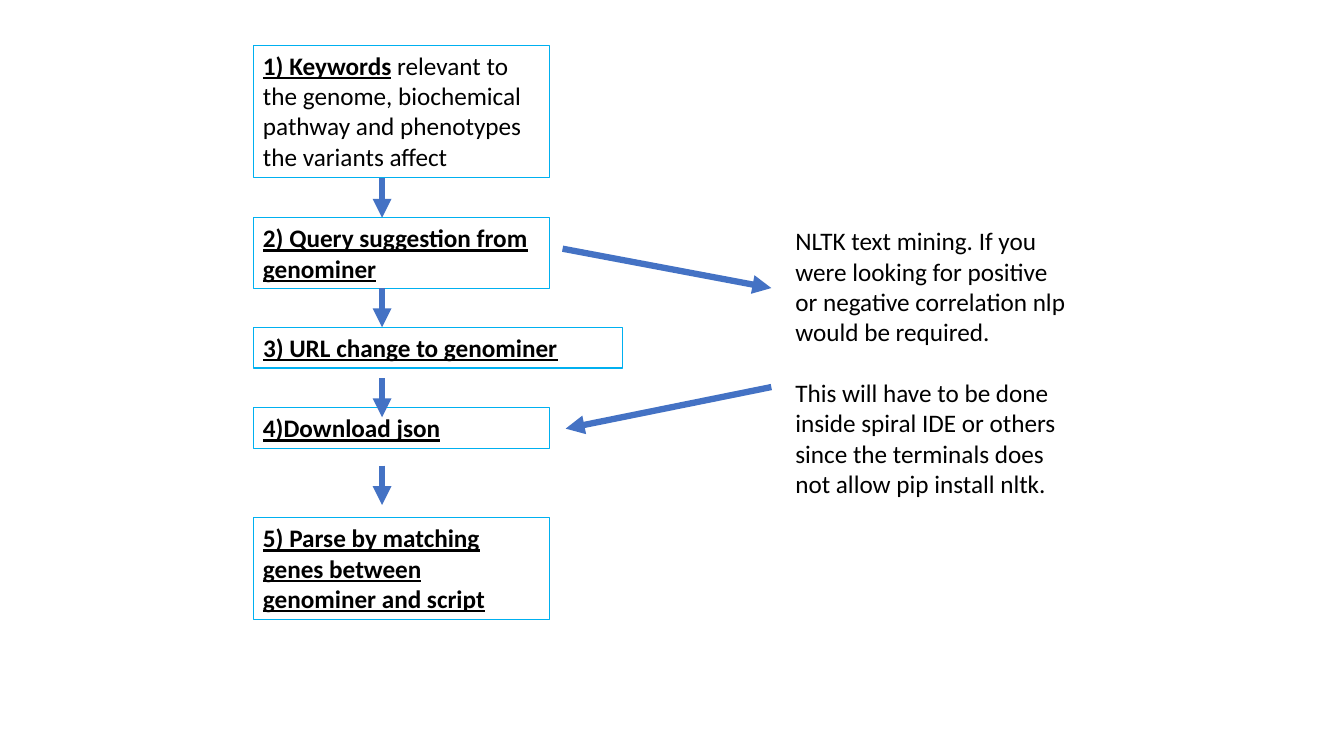
from dataclasses import dataclass

from lxml import etree
from pptx import Presentation
from pptx.dml.color import RGBColor
from pptx.enum.shapes import MSO_CONNECTOR, MSO_SHAPE
from pptx.enum.text import MSO_ANCHOR, MSO_AUTO_SIZE, PP_ALIGN
from pptx.oxml.ns import qn
from pptx.util import Inches, Pt

RECT, STRAIGHT = MSO_SHAPE.RECTANGLE, MSO_CONNECTOR.STRAIGHT
TOP, LEFT = MSO_ANCHOR.TOP, PP_ALIGN.LEFT
GROW = MSO_AUTO_SIZE.SHAPE_TO_FIT_TEXT
FONT, SIZE = "Calibri", 18
BLACK, CYAN, BLUE = "000000", "00B0F0", "4472C4"

# The grid has 100 columns and 100 rows
STEP_X, STEP_W = 18.83, 22.05
ARROW_X, ARROW_H = 28.43, 5.2
NOTE_X = 58.44
LINE_H, PADDING = 4.03, 1.35

prs = Presentation()
prs.slide_width, prs.slide_height = Inches(13.33), Inches(7.5)
s = prs.slides.add_slide(prs.slide_layouts[6])


@dataclass
class Step:
    y: float
    lines: int
    title: str
    detail: str = ""
    w: float = STEP_W


@dataclass
class Arrow:
    x1: float
    y1: float
    x2: float
    y2: float


def rgb(color: str) -> RGBColor:
    return RGBColor.from_string(color)


def col(n: float) -> int:
    return round(prs.slide_width * n / 100)


def row(n: float) -> int:
    return round(prs.slide_height * n / 100)


def frame(x: float, y: float, w: float, lines: int) -> tuple:
    return col(x), row(y), col(w), row(PADDING + LINE_H * lines)


def style_text(tf) -> None:
    tf.word_wrap, tf.auto_size = True, GROW
    tf.vertical_anchor = TOP
    for p in tf.paragraphs:
        p.alignment = LEFT
        p.font.name, p.font.size = FONT, Pt(SIZE)
        p.font.color.rgb = rgb(BLACK)


def draw_step(step: Step) -> None:
    sp = s.shapes.add_shape(RECT, *frame(STEP_X, step.y, step.w, step.lines))
    sp.shadow.inherit = False
    sp.fill.background()
    sp.line.color.rgb, sp.line.width = rgb(CYAN), Pt(0.75)
    p = sp.text_frame.paragraphs[0]
    r = p.add_run()
    r.text = step.title
    r.font.bold = r.font.underline = True
    if step.detail:
        p.add_run().text = step.detail
    style_text(sp.text_frame)
    for r in p.runs:
        r.font.color.rgb = rgb(BLACK)


def draw_arrow(a: Arrow) -> None:
    c = s.shapes.add_connector(STRAIGHT, col(a.x1), row(a.y1), col(a.x2), row(a.y2))
    c.line.color.rgb, c.line.width = rgb(BLUE), Pt(4.5)
    etree.SubElement(c.line._get_or_add_ln(), qn("a:tailEnd"), type="triangle")
    etree.SubElement(c._element.spPr, qn("a:effectLst"))


def draw_notes(y: float, lines: int, notes: list[str]) -> None:
    tf = s.shapes.add_textbox(*frame(NOTE_X, y, STEP_W, lines)).text_frame
    tf.text = "\n".join(notes)
    style_text(tf)
    # One empty line's height between notes
    for p in tf.paragraphs[1:]:
        p.space_before = Pt(22)


# Workflow steps
STEPS = [
    Step(6, 4, "1) Keywords", " relevant to the genome, biochemical pathway "
         "and phenotypes the variants affect"),
    Step(28.8, 2, "2) Query suggestion from genominer"),
    Step(43.3, 1, "3) URL change to genominer", w=27.46),
    Step(53.9, 1, "4)Download json"),
    Step(68.5, 3, "5) Parse by matching genes between genominer and script"),
]
for step in STEPS:
    draw_step(step)

# Arrows down the workflow, then to and from the notes
ARROWS = [Arrow(ARROW_X, y, ARROW_X, y + ARROW_H) for y in (23.6, 38.1, 50, 61.6)]
ARROWS += [Arrow(41.86, 32.9, 57.39, 38.1), Arrow(57.39, 51.2, 42.09, 56.7)]
for arrow in ARROWS:
    draw_arrow(arrow)

# Side notes
draw_notes(29.2, 9, [
    "NLTK text mining. If you were looking for positive or negative "
    "correlation nlp would be required.",
    "This will have to be done inside spiral IDE or others since the "
    "terminals does not allow pip install nltk.",
])

prs.save("out.pptx")
